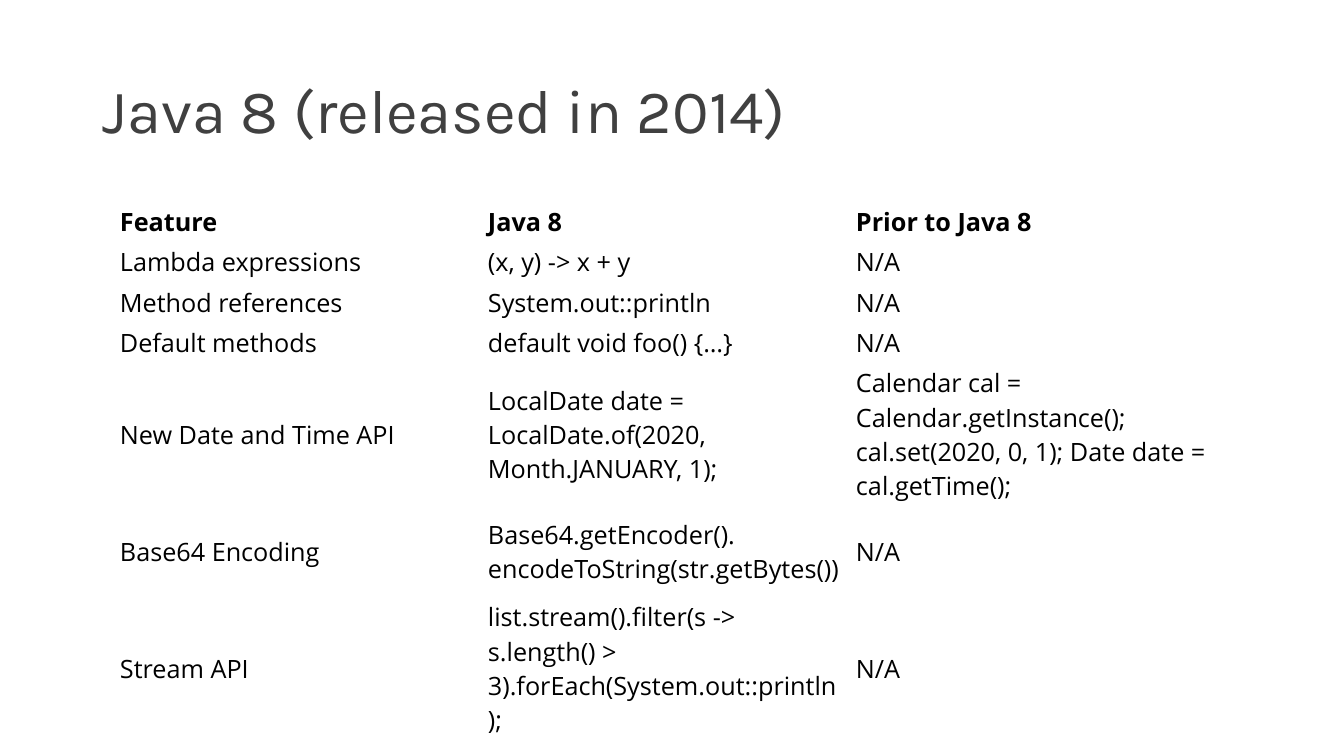
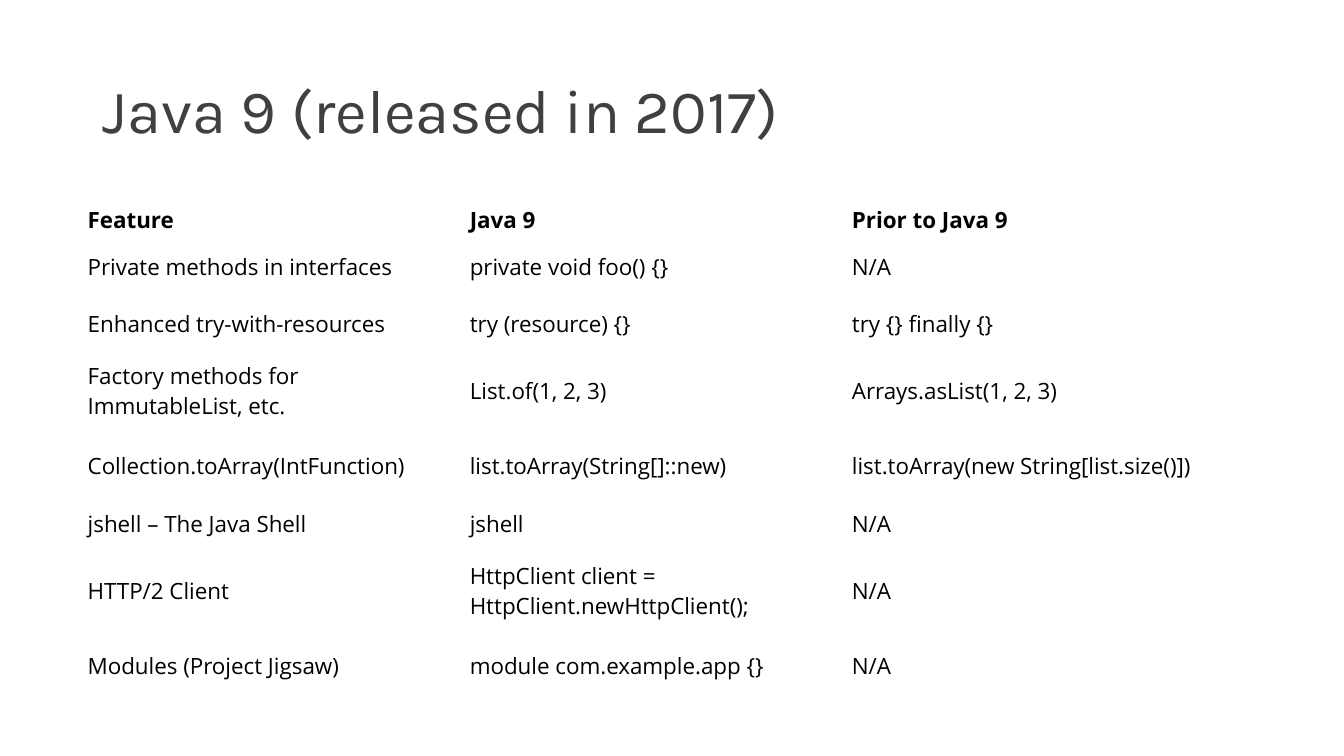
import pptx
import pptx.dml.color
import pptx.enum.text
import pptx.oxml
import pptx.oxml.ns
import pptx.util
from pptx.util import Inches

COLORS = {"title": "404040", "text": "000000", "paper": "FFFFFF"}
TITLE_FONT = "Karla"
BODY_FONT = "Open Sans"
TITLE_ONLY = 5
TABLE_TOP = 2

JAVA_8_ROWS = [
    (0.22, "Feature", "Java 8", "Prior to Java 8"),
    (0.39, "Lambda expressions", "(x, y) -> x + y", "N/A"),
    (0.39, "Method references", "System.out::println", "N/A"),
    (0.39, "Default methods", "default void foo() {…}", "N/A"),
    (1.4, "New Date and Time API",
     "LocalDate date =\nLocalDate.of(2020, Month.JANUARY, 1);",
     "Calendar cal = Calendar.getInstance(); cal.set(2020, 0, 1); "
     "Date date = cal.getTime();"),
    (0.9, "Base64 Encoding",
     "Base64.getEncoder().\nencodeToString(str.getBytes())", "N/A"),
    (1.06, "Stream API",
     "list.stream().filter(s -> s.length() > 3).forEach(System.out::println);",
     "N/A"),
]

JAVA_9_ROWS = [
    (0.23, "Feature", "Java 9", "Prior to Java 9"),
    (0.57, "Private methods in interfaces", "private void foo() {}", "N/A"),
    (0.57, "Enhanced try-with-resources", "try (resource) {}",
     "try {} finally {}"),
    (0.75, "Factory methods for ImmutableList, etc.", "List.of(1, 2, 3)",
     "Arrays.asList(1, 2, 3)"),
    (0.75, "Collection.toArray(IntFunction)", "list.toArray(String[]::new)",
     "list.toArray(new String[list.size()])"),
    (0.4, "jshell – The Java Shell", "jshell", "N/A"),
    (0.92, "HTTP/2 Client",
     "HttpClient client = HttpClient.newHttpClient();", "N/A"),
    (0.57, "Modules (Project Jigsaw)", "module com.example.app {}", "N/A"),
]


def rgb(name):
    return pptx.dml.color.RGBColor.from_string(COLORS[name])


def add_run(p, text, font, size, color, bold=False):
    r = p.add_run()
    r.text = text
    r.font.name = font
    r.font.size = pptx.util.Pt(size)
    r.font.bold = bold
    r.font.color.rgb = rgb(color)


def add_title_slide(prs, title):
    s = prs.slides.add_slide(prs.slide_layouts[TITLE_ONLY])
    s.background.fill.solid()
    s.background.fill.fore_color.rgb = rgb("paper")
    sp = s.shapes.title
    sp.left, sp.top = Inches(0.92), Inches(0.4)
    sp.width, sp.height = Inches(11.5), Inches(1.45)
    tf = sp.text_frame
    tf.word_wrap = True
    tf.auto_size = pptx.enum.text.MSO_AUTO_SIZE.NONE
    tf.vertical_anchor = pptx.enum.text.MSO_ANCHOR.MIDDLE
    p = tf.paragraphs[0]
    p.alignment = pptx.enum.text.PP_ALIGN.LEFT
    p.line_spacing = 0.9
    add_run(p, title, TITLE_FONT, 44, "title")
    return s


def set_borders(cell):
    tcPr = cell._tc.get_or_add_tcPr()
    for side in ("lnL", "lnR", "lnT", "lnB"):
        tcPr.append(pptx.oxml.parse_xml(
            f'<a:{side} {pptx.oxml.ns.nsdecls("a")} w="{pptx.util.Pt(0.5)}">'
            f'<a:solidFill><a:srgbClr val="{COLORS["paper"]}"/></a:solidFill>'
            f'</a:{side}>'))


def fill_cell(cell, text, size, bold):
    set_borders(cell)
    cell.fill.solid()
    cell.fill.fore_color.rgb = rgb("paper")
    cell.vertical_anchor = pptx.enum.text.MSO_ANCHOR.MIDDLE
    cell.margin_left = cell.margin_right = Inches(0.06)
    cell.margin_top = cell.margin_bottom = Inches(0.03)
    p = cell.text_frame.paragraphs[0]
    for i, line in enumerate(text.split("\n")):
        if i:
            p.add_line_break()
        add_run(p, line, BODY_FONT, size, "text", bold)


def add_feature_table(s, rows, left, col_width, size):
    cols = len(rows[0]) - 1
    height = sum(row[0] for row in rows)
    table = s.shapes.add_table(
        len(rows), cols, Inches(left), Inches(TABLE_TOP),
        Inches(col_width * cols), Inches(height)).table
    table.first_row = table.horz_banding = False
    for column in table.columns:
        column.width = Inches(col_width)
    for i, (row_height, *texts) in enumerate(rows):
        table.rows[i].height = Inches(row_height)
        for j, text in enumerate(texts):
            fill_cell(table.cell(i, j), text, size, bold=i == 0)


def main():
    prs = pptx.Presentation()
    prs.slide_width, prs.slide_height = Inches(13.33), Inches(7.5)
    s = add_title_slide(prs, "Java 8 (released in 2014)")
    add_feature_table(s, JAVA_8_ROWS, 1.13, 3.65, 18)
    s = add_title_slide(prs, "Java 9 (released in 2017)")
    add_feature_table(s, JAVA_9_ROWS, 0.81, 3.79, 16)
    prs.save("out.pptx")


if __name__ == "__main__":
    main()
